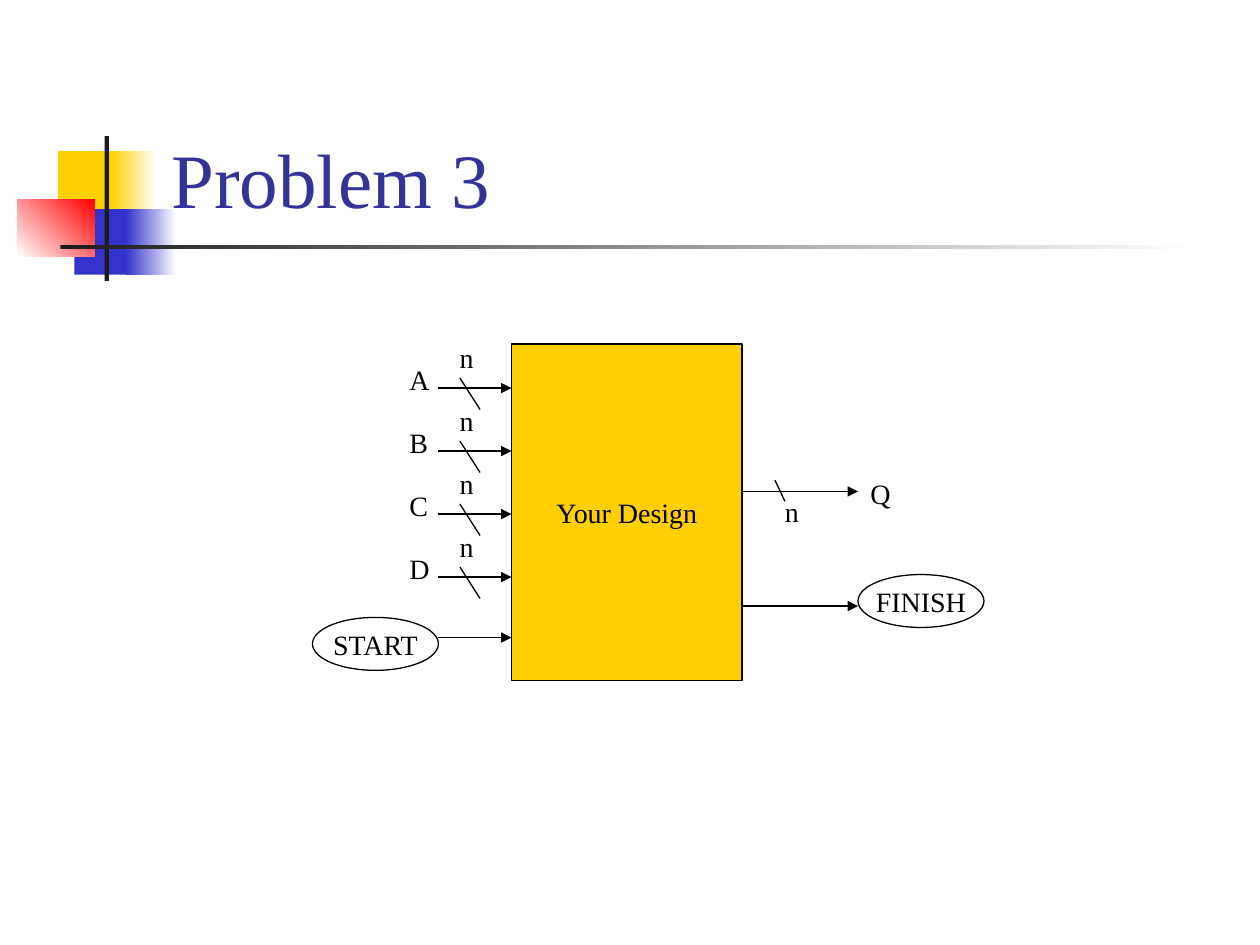
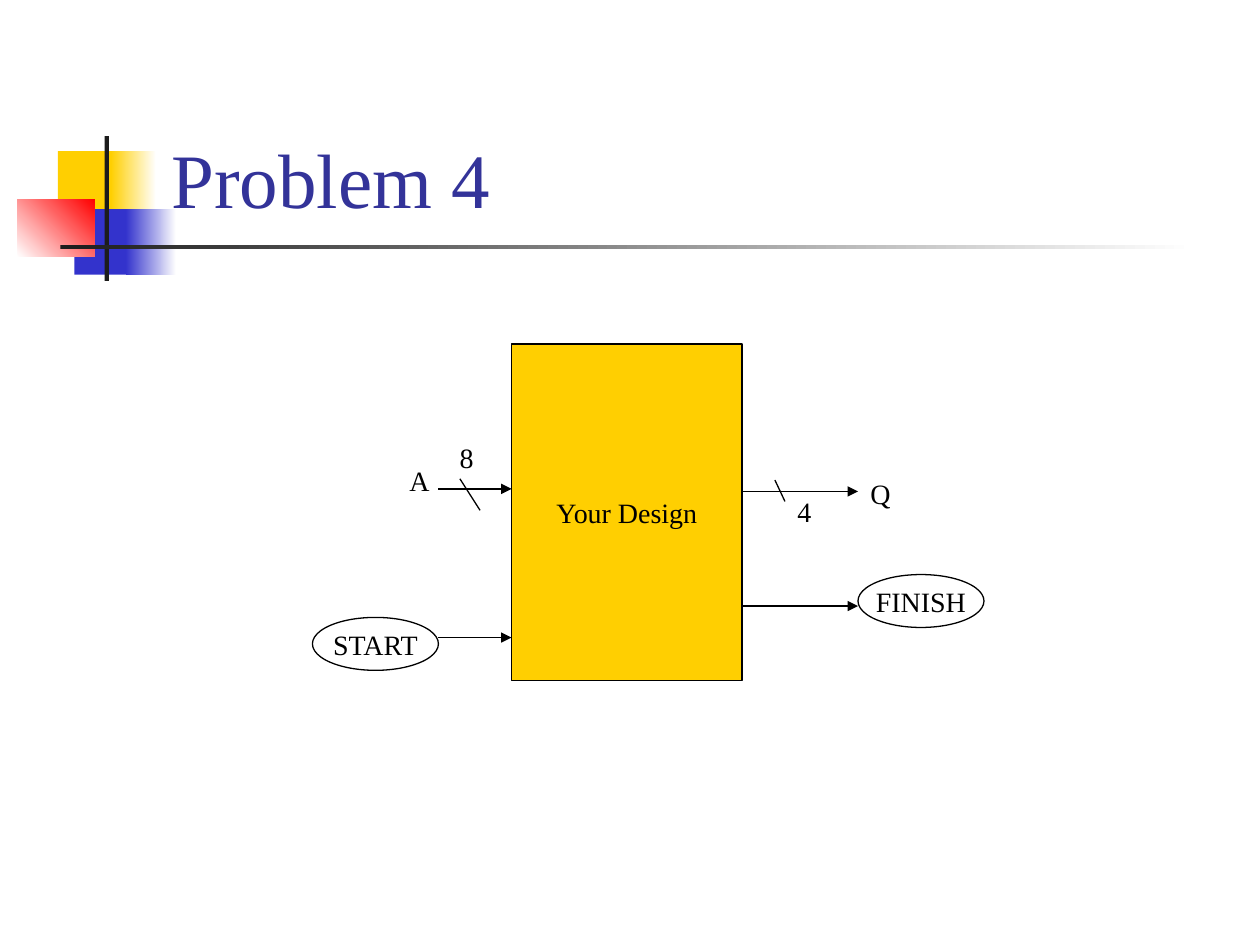
import dataclasses

import pptx
import pptx.dml.color
import pptx.enum.dml
import pptx.enum.shapes
import pptx.enum.text
import pptx.oxml
import pptx.oxml.ns
import pptx.util

SHAPE = pptx.enum.shapes.MSO_SHAPE
ALIGN = pptx.enum.text.PP_ALIGN
ANCHOR = pptx.enum.text.MSO_ANCHOR
FIT = pptx.enum.text.MSO_AUTO_SIZE


@dataclasses.dataclass(frozen=True)
class Theme:
    """Colours, type sizes and line width of the deck."""
    gold: str = "FFCF01"
    blue: str = "3333CC"
    red: str = "FF0000"
    dark: str = "1C1C1C"
    white: str = "FFFFFF"
    ink: str = "000000"
    head: str = "333399"
    font: str = "Times New Roman"
    big: int = 44
    small: int = 16
    line: float = 0.75


THEME = Theme()

# The grid has 100 columns and 75 rows of 0.1 inch.
BOX = (40.6, 27.3, 18.3, 26.7)
LEFT, RIGHT = 34.8, 68.1      # outer ends of the wires
EDGE_IN, EDGE_OUT = 40.6, 59  # where wires meet the box
OVAL = (10, 4.2)


def cell(count):
    """Turn grid cells into a length."""
    return pptx.util.Inches(count / 10)


def rgb(code):
    """Turn a hex code into a colour."""
    return pptx.dml.color.RGBColor.from_string(code)


def style(para, size, color):
    """Set the font of a paragraph."""
    para.font.name = THEME.font
    para.font.size = pptx.util.Pt(size)
    para.font.color.rgb = rgb(color)


def shape(slide, kind, place, fill=None):
    """Add a preset shape without a line, solid or empty."""
    item = slide.shapes.add_shape(kind, *map(cell, place))
    item.shadow.inherit = False
    item.line.fill.background()
    if fill:
        item.fill.solid()
        item.fill.fore_color.rgb = rgb(fill)
    else:
        item.fill.background()
    return item


def fade(slide, place, start, end, angle=0):
    """Add a rectangle that blends two colours."""
    item = shape(slide, SHAPE.RECTANGLE, place)
    item.fill.gradient()
    item.fill.gradient_angle = angle
    for stop, color in zip(item.fill.gradient_stops, (start, end)):
        stop.color.rgb = rgb(color)


def block(slide, kind, place, text, fill=None):
    """Add an outlined shape with centred text."""
    item = shape(slide, kind, place, fill)
    item.line.color.rgb = rgb(THEME.ink)
    item.line.width = pptx.util.Pt(THEME.line)
    frame = item.text_frame
    frame.word_wrap = False
    frame.vertical_anchor = ANCHOR.MIDDLE
    para = frame.paragraphs[0]
    para.text = text
    para.alignment = ALIGN.CENTER
    style(para, THEME.small, THEME.ink)


def label(slide, col, row, text, width):
    """Add a short text that does not wrap."""
    item = slide.shapes.add_textbox(*map(cell, (col, row, width, 3.7)))
    frame = item.text_frame
    frame.word_wrap = False
    frame.auto_size = FIT.SHAPE_TO_FIT_TEXT
    frame.paragraphs[0].text = text
    style(frame.paragraphs[0], THEME.small, THEME.ink)


def line(slide, start, end, arrow=False):
    """Add a thin line, with an arrowhead at its end if asked."""
    item = slide.shapes.add_connector(
        pptx.enum.shapes.MSO_CONNECTOR.STRAIGHT, *map(cell, start + end))
    item.line.color.rgb = rgb(THEME.ink)
    item.line.width = pptx.util.Pt(THEME.line)
    if arrow:
        tail = pptx.oxml.parse_xml(
            f'<a:tailEnd {pptx.oxml.ns.nsdecls("a")} type="triangle"/>')
        item.line.fill  # the line element exists from here on
        item.element.spPr.find(pptx.oxml.ns.qn("a:ln")).append(tail)
    item.element.spPr.append(pptx.oxml.parse_xml(
        f'<a:effectLst {pptx.oxml.ns.nsdecls("a")}/>'))


def entry(slide, row, name, bits):
    """Add an input bus: wire, slash, bit count and name."""
    line(slide, (LEFT, row), (EDGE_IN, row), True)
    line(slide, (36.5, row - 0.8), (38.1, row + 1.7))
    label(slide, 35.5, row - 4.3, bits, 3.1)
    label(slide, 31.5, row - 2.5, name, 3.6)


def exit_bus(slide, row, name, bits, col):
    """Add an output bus, with its bit count at the given column."""
    line(slide, (EDGE_OUT, row), (RIGHT, row), True)
    line(slide, (61.5, row - 0.9), (62.3, row + 0.8))
    label(slide, col, row - 0.2, bits, 3.1)
    label(slide, RIGHT, row - 1.7, name, 3.6)


def signals(slide):
    """Add the start and finish ovals with their wires."""
    line(slide, (LEFT, 50.6), (EDGE_IN, 50.6), True)
    block(slide, SHAPE.OVAL, (LEFT - OVAL[0], 49) + OVAL, "START")
    line(slide, (EDGE_OUT, 48.1), (RIGHT, 48.1), True)
    block(slide, SHAPE.OVAL, (RIGHT, 45.6) + OVAL, "FINISH")


def decorate(slide, layout):
    """Draw the corner motif and move it to the shared layout."""
    old = len(slide.shapes)
    rect = SHAPE.RECTANGLE
    shape(slide, rect, (4.6, 12, 4.8, 5.2), THEME.gold)
    fade(slide, (8.8, 12, 3.6, 5.2), THEME.gold, THEME.white)
    shape(slide, rect, (5.9, 16.6, 4.6, 5.2), THEME.blue)
    fade(slide, (10, 16.6, 4, 5.2), THEME.blue, THEME.white)
    fade(slide, (1.4, 15.8, 6.1, 4.6), THEME.white, THEME.red, 45)
    shape(slide, rect, (8.3, 10.8, 0.35, 11.5), THEME.dark)
    fade(slide, (4.8, 19.45, 90, 0.35), THEME.dark, THEME.white)
    for item in list(slide.shapes)[old:]:
        layout.shapes.element.append(item.element)


def heading(slide, text):
    """Fill and place the title."""
    title = slide.shapes.title
    title.left, title.top, title.width, title.height = map(
        cell, (12.6, 2.3, 85.2, 16))
    frame = title.text_frame
    frame.text = text
    frame.auto_size = FIT.NONE
    frame.vertical_anchor = ANCHOR.BOTTOM
    frame.paragraphs[0].alignment = ALIGN.LEFT
    style(frame.paragraphs[0], THEME.big, THEME.head)


def problem(slide, title, names, top, bits, result, col):
    """Build one slide: inputs, design box, outputs."""
    heading(slide, title)
    block(slide, SHAPE.RECTANGLE, BOX, "Your Design", THEME.gold)
    for index, name in enumerate(names):
        entry(slide, top + 5 * index, name, bits)
    exit_bus(slide, 39, "Q", result, col)
    signals(slide)


def main():
    """Build and save the deck."""
    deck = pptx.Presentation()
    deck.slide_width, deck.slide_height = cell(100), cell(75)
    layout = deck.slide_layouts[5]
    first, second = (deck.slides.add_slide(layout) for _ in range(2))
    decorate(first, layout)
    problem(first, "Problem 3", "ABCD", 30.8, "n", "n", 61.3)
    problem(second, "Problem 4", "A", 38.8, "8", "4", 62.3)
    deck.save("out.pptx")


main()
